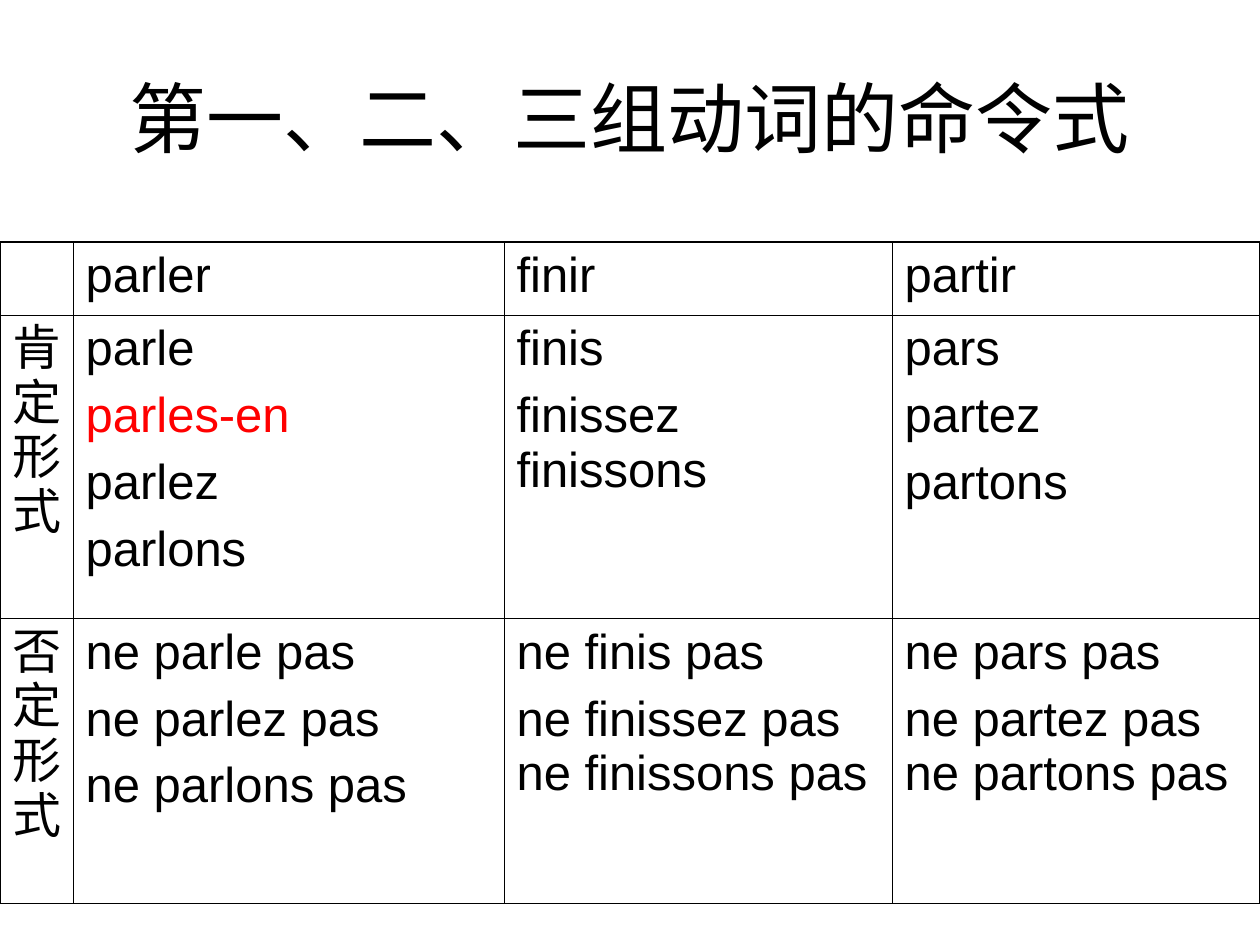
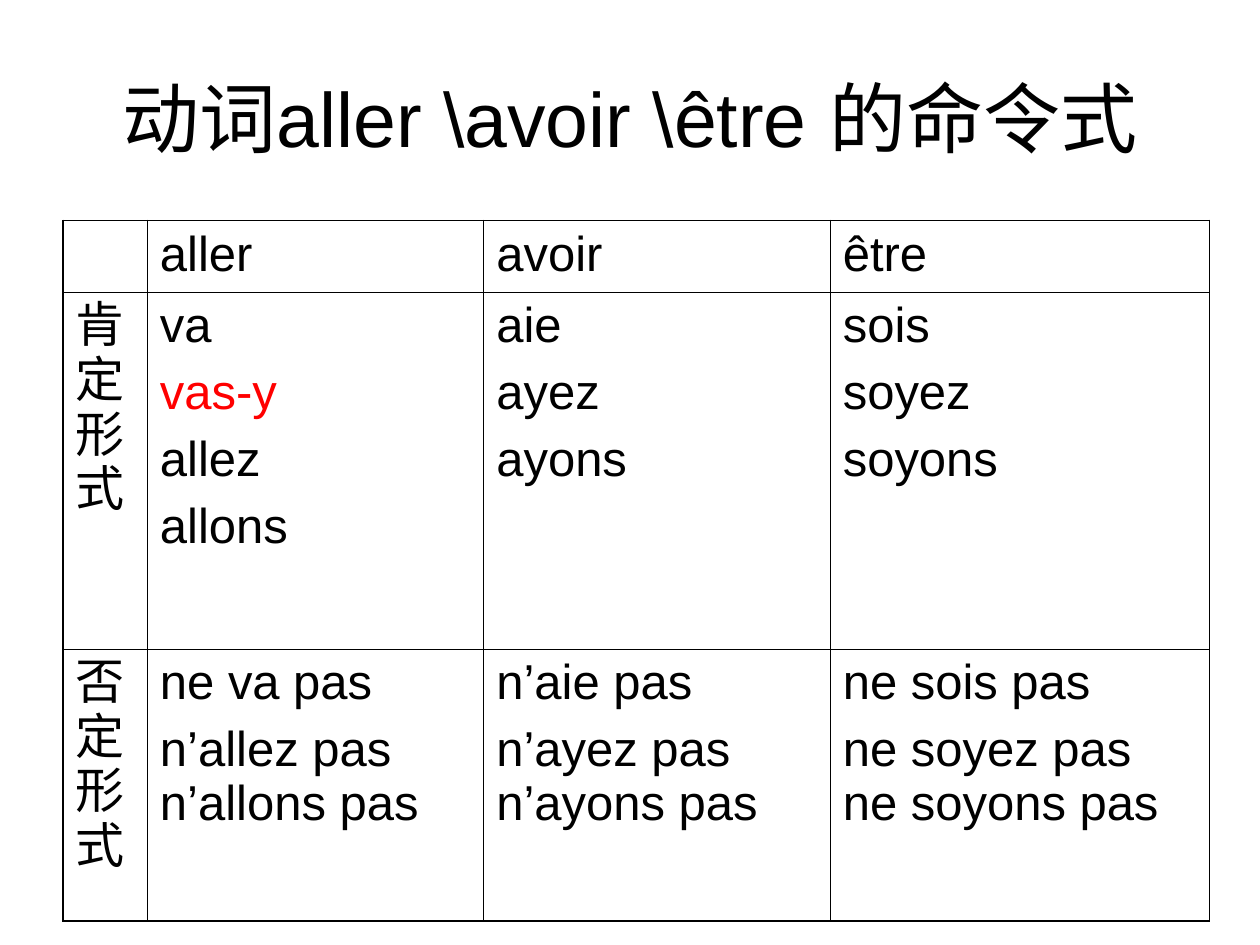
from lxml.etree import SubElement
from pptx import Presentation
from pptx.dml.color import RGBColor
from pptx.enum.text import MSO_ANCHOR, MSO_AUTO_SIZE, PP_ALIGN
from pptx.oxml.ns import qn
from pptx.util import Inches, Pt

BLACK = RGBColor(0, 0, 0)
RED = RGBColor(255, 0, 0)
FONT = "Arial"
OUTER, INNER = Pt(1.08), Pt(0.45)
AFFIRMATIVE, NEGATIVE = "肯定形式", "否定形式"
RED_FORMS = {"parles-en", "vas-y"}


def write(p, text, size=28, color=BLACK, align=None, before=0):
    """Write one formatted run into a paragraph."""
    p.alignment = align
    p.space_before = Pt(before)
    r = p.add_run()
    r.text = text
    r.font.name = FONT
    r.font.size = Pt(size)
    r.font.color.rgb = color
    SubElement(r.font._element, qn("a:ea"), typeface=FONT)


def add_title(s, text):
    """Fill and place the title placeholder."""
    sp = s.shapes.title
    sp.left, sp.top, sp.width, sp.height = map(Inches, (0.5, 0.3, 9, 1.25))
    tf = sp.text_frame
    tf.auto_size = MSO_AUTO_SIZE.NONE
    tf.vertical_anchor = MSO_ANCHOR.MIDDLE
    write(tf.paragraphs[0], text, size=44, align=PP_ALIGN.CENTER)


def set_borders(cell, **widths):
    """Draw solid black borders on the sides L, R, T and B of a cell."""
    tc_pr = cell._tc.get_or_add_tcPr()
    for side, width in widths.items():
        ln = SubElement(tc_pr, qn(f"a:ln{side}"), w=str(width))
        fill = SubElement(ln, qn("a:solidFill"))
        SubElement(fill, qn("a:srgbClr"), val=str(BLACK))


def fill_cell(cell, forms):
    """Write one verb form per paragraph."""
    tf = cell.text_frame
    for i, form in enumerate(forms):
        p = tf.add_paragraph() if i else tf.paragraphs[0]
        write(p, form, color=RED if form in RED_FORMS else BLACK, before=7)


def add_verb_table(s, left, top, widths, heights, rows):
    """Add a bordered conjugation table without banding."""
    frame = s.shapes.add_table(len(rows), len(widths), Inches(left), Inches(top),
                               Inches(sum(widths)), Inches(sum(heights)))
    table = frame.table
    table.first_row = table.horz_banding = False
    for column, width in zip(table.columns, widths):
        column.width = Inches(width)
    for row, height in zip(table.rows, heights):
        row.height = Inches(height)
    last_row, last_col = len(rows) - 1, len(widths) - 1
    for i, row in enumerate(rows):
        for j, forms in enumerate(row):
            cell = table.cell(i, j)
            set_borders(cell,
                        L=INNER if j else OUTER,
                        R=INNER if j < last_col else OUTER,
                        T=INNER if i else OUTER,
                        B=INNER if i < last_row else OUTER)
            cell.fill.background()
            fill_cell(cell, forms)


def add_verb_slide(prs, title, left, top, widths, heights, verbs, positive, negative):
    """Add a slide with a title and its conjugation table."""
    s = prs.slides.add_slide(prs.slide_layouts[5])
    add_title(s, title)
    rows = [[[], *([verb] for verb in verbs)],
            [[AFFIRMATIVE], *positive],
            [[NEGATIVE], *negative]]
    add_verb_table(s, left, top, widths, heights, rows)


def main():
    """Build the presentation."""
    prs = Presentation()
    prs.slide_width, prs.slide_height = Inches(10), Inches(7.5)
    add_verb_slide(
        prs, "第一、二、三组动词的命令式", 0, 1.92,
        (0.58, 3.42, 3.08, 2.92), (0.58, 2.41, 2.26),
        ("parler", "finir", "partir"),
        [["parle", "parles-en", "parlez", "parlons"],
         ["finis", "finissez finissons"],
         ["pars", "partez", "partons"]],
        [["ne parle pas", "ne parlez pas", "ne parlons pas"],
         ["ne finis pas", "ne finissez pas ne finissons pas"],
         ["ne pars pas", "ne partez pas ne partons pas"]])
    add_verb_slide(
        prs, "动词aller \\avoir \\être 的命令式", 0.5, 1.75,
        (0.67, 2.67, 2.75, 3.01), (0.57, 2.83, 2.16),
        ("aller", "avoir", "être"),
        [["va", "vas-y", "allez", "allons"],
         ["aie", "ayez", "ayons"],
         ["sois", "soyez", "soyons"]],
        [["ne va pas", "n’allez pas n’allons pas"],
         ["n’aie pas", "n’ayez pas n’ayons pas"],
         ["ne sois pas", "ne soyez pas ne soyons pas"]])
    prs.save("out.pptx")


if __name__ == "__main__":
    main()
